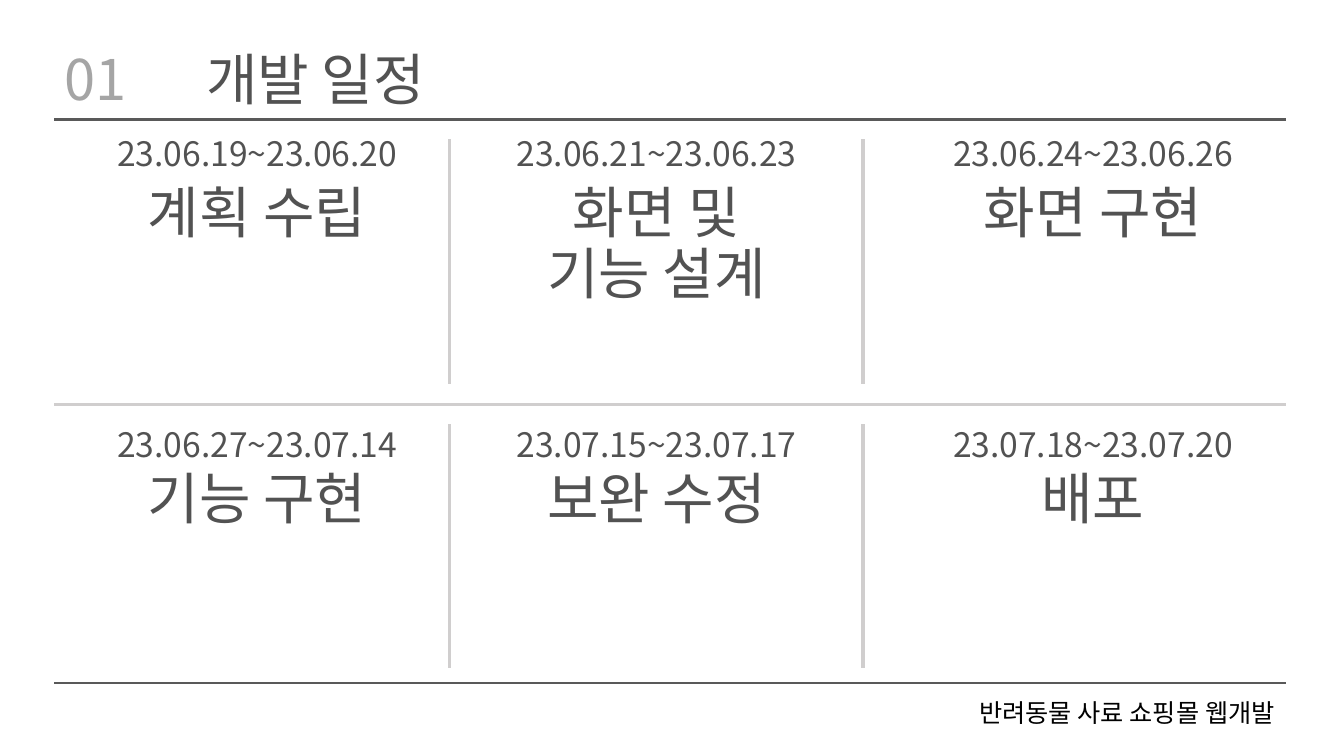
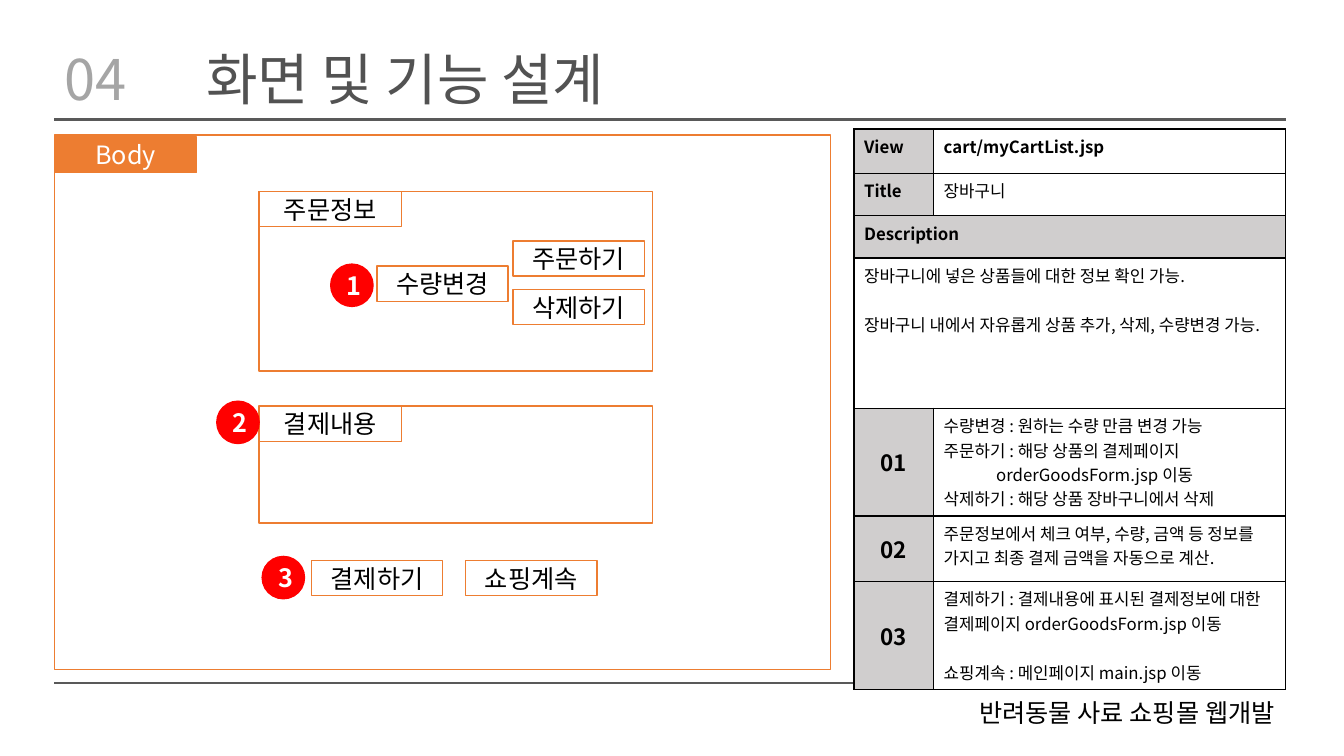
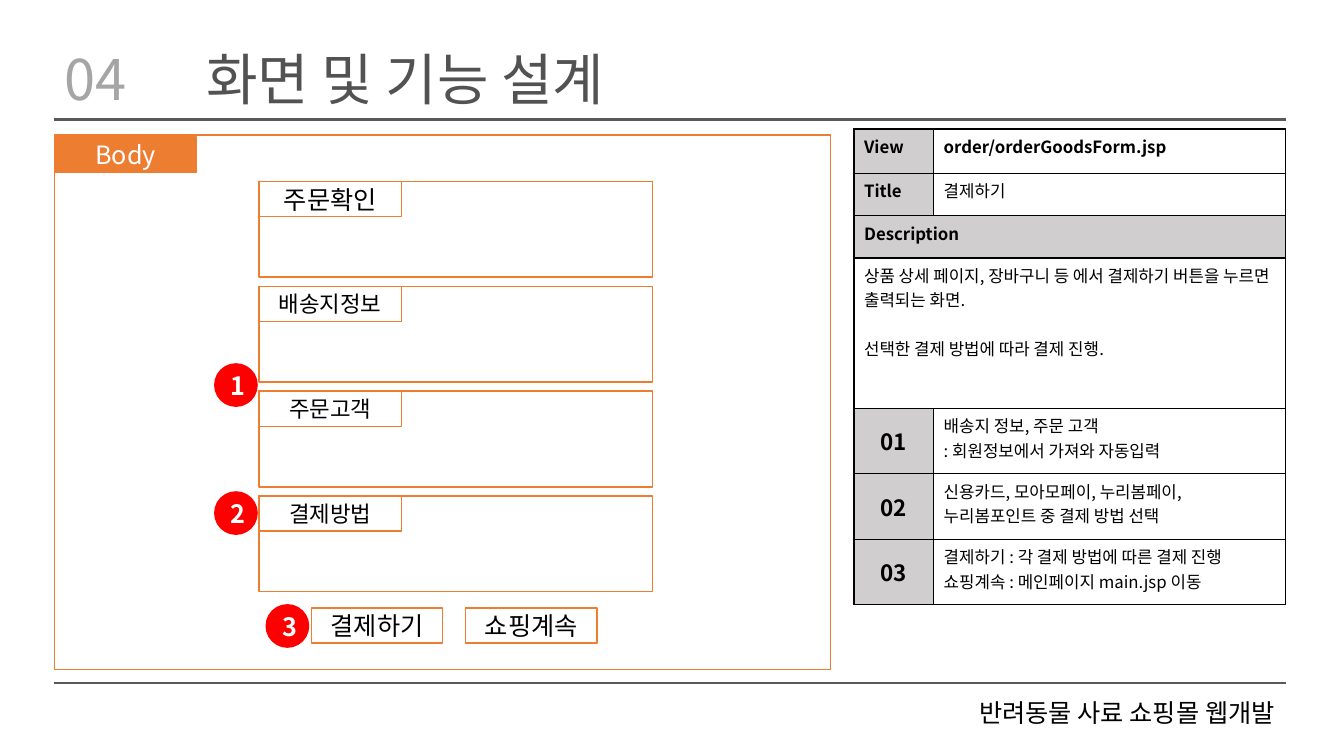
from dataclasses import dataclass

from lxml import etree
from pptx import Presentation
from pptx.dml.color import RGBColor
from pptx.enum.shapes import MSO_CONNECTOR, MSO_SHAPE
from pptx.enum.text import MSO_ANCHOR, PP_ALIGN
from pptx.oxml.ns import qn
from pptx.util import Inches, Pt

STRAIGHT = MSO_CONNECTOR.STRAIGHT
RECTANGLE = MSO_SHAPE.RECTANGLE
OVAL = MSO_SHAPE.OVAL
TOP, MIDDLE = MSO_ANCHOR.TOP, MSO_ANCHOR.MIDDLE
LEFT, CENTER, RIGHT = PP_ALIGN.LEFT, PP_ALIGN.CENTER, PP_ALIGN.RIGHT


@dataclass(frozen=True)
class Theme:
    font: str = "Noto Sans CJK KR"
    white: str = "FFFFFF"
    black: str = "000000"
    rule: str = "595959"
    heading: str = "525252"
    number: str = "A5A5A5"
    light: str = "D0CECE"
    accent: str = "ED7D31"
    badge: str = "FF0000"
    title_size: int = 40
    date_size: int = 24
    body_size: int = 18
    small_size: int = 16
    table_size: int = 12
    table_gap: float = 17.4
    thick: float = 2.25
    medium: float = 1.5
    thin: float = 1


@dataclass(frozen=True)
class Line:
    text: str
    gap: float = 0
    indent: float = 0


THEME = Theme()
MARGIN, EDGE = 0.54, 12.75
FOOTER = "반려동물 사료 쇼핑몰 웹개발"
TITLE_FORMAT = {"line_spacing": 0.9, "space_before": Pt(10)}
FOOTER_FORMAT = {"line_spacing": 0.8, "space_before": Pt(10)}
PANEL_LEFT, PANEL_WIDTH = 2.57, 3.9
TAG_WIDTH, TAG_HEIGHT = 1.41, 0.35
BUTTON_WIDTH, BADGE_SIZE = 1.3, 0.42
COLUMN_WIDTHS = (0.79, 3.49)
HEADER_HEIGHTS = (0.44, 0.42, 0.42, 1.49)
CART_NOTE_HEIGHTS = (1.07, 0.65, 1.07)
ORDER_NOTE_HEIGHTS = (0.65, 0.65, 0.65)

STAGES = (
    (
        ("23.06.19~23.06.20", "계획 수립"),
        ("23.06.21~23.06.23", "화면 및 기능 설계"),
        ("23.06.24~23.06.26", "화면 구현"),
    ),
    (
        ("23.06.27~23.07.14", "기능 구현"),
        ("23.07.15~23.07.17", "보완 수정"),
        ("23.07.18~23.07.20", "배포"),
    ),
)
STAGE_CENTERS = (2.55, 6.51, 10.84)
STAGE_ROWS = ((1.31, 1.79, 1.38, 3.81), (4.2, 4.63, 4.21, 6.63))
DIVIDERS = (4.46, 8.56)

CART_DESCRIPTION = (
    Line("장바구니에 넣은 상품들에 대한 정보 확인 가능."),
    Line("장바구니 내에서 자유롭게 상품 추가, 삭제, 수량변경 가능.", gap=THEME.table_gap),
)
CART_NOTES = (
    (
        Line("수량변경 : 원하는 수량 만큼 변경 가능"),
        Line("주문하기 : 해당 상품의 결제페이지"),
        Line("orderGoodsForm.jsp 이동", indent=0.52),
        Line("삭제하기 : 해당 상품 장바구니에서 삭제"),
    ),
    (Line("주문정보에서 체크 여부, 수량, 금액 등 정보를 가지고 최종 결제 금액을 자동으로 계산."),),
    (
        Line("결제하기 : 결제내용에 표시된 결제정보에 대한 결제페이지 orderGoodsForm.jsp 이동"),
        Line("쇼핑계속 : 메인페이지 main.jsp 이동", gap=THEME.table_gap),
    ),
)
ORDER_DESCRIPTION = (
    Line("상품 상세 페이지, 장바구니 등 에서 결제하기 버튼을 누르면 출력되는 화면."),
    Line("선택한 결제 방법에 따라 결제 진행.", gap=THEME.table_gap),
)
ORDER_NOTES = (
    (Line("배송지 정보, 주문 고객"), Line(": 회원정보에서 가져와 자동입력")),
    (Line("신용카드, 모아모페이, 누리봄페이, 누리봄포인트 중 결제 방법 선택"),),
    (
        Line("결제하기 : 각 결제 방법에 따른 결제 진행"),
        Line("쇼핑계속 : 메인페이지 main.jsp 이동"),
    ),
)


def color(value):
    return RGBColor.from_string(value)


def apply_format(target, values):
    for name, value in values.items():
        setattr(target, name, value)


def paint(fill, value):
    if value is None:
        fill.background()
    else:
        fill.solid()
        fill.fore_color.rgb = color(value)


def write(paragraph, text, size, text_color, bold=False, **paragraph_format):
    apply_format(paragraph, paragraph_format)
    run = paragraph.add_run()
    run.text = text
    run.font.color.rgb = color(text_color)
    apply_format(run.font, {"size": Pt(size), "bold": bold, "name": THEME.font})
    east_asian = etree.SubElement(run.font._element, qn("a:ea"))
    east_asian.set("typeface", THEME.font)


def add_line(slide, start, end, line_color, width):
    points = [Inches(value) for value in (*start, *end)]
    connector = slide.shapes.add_connector(STRAIGHT, *points)
    connector.line.color.rgb = color(line_color)
    connector.line.width = Pt(width)
    etree.SubElement(connector._element.spPr, qn("a:effectLst"))


def add_text(slide, box, text, size, text_color, alignment=LEFT):
    shape = slide.shapes.add_textbox(*map(Inches, box))
    apply_format(shape.text_frame, {"word_wrap": True, "vertical_anchor": TOP})
    write(shape.text_frame.paragraphs[0], text, size, text_color,
          alignment=alignment, **TITLE_FORMAT)


def add_box(slide, box, fill=None, line=THEME.accent, kind=RECTANGLE):
    shape = slide.shapes.add_shape(kind, *map(Inches, box))
    shape.shadow.inherit = False
    paint(shape.fill, fill)
    paint(shape.line.fill, line)
    if line:
        shape.line.width = Pt(THEME.thin)
    return shape


def add_label(slide, box, text, fill=None, line=THEME.accent, kind=RECTANGLE,
              size=THEME.body_size, text_color=THEME.black, bold=False):
    shape = add_box(slide, box, fill, line, kind)
    apply_format(shape.text_frame, {"word_wrap": True, "vertical_anchor": MIDDLE})
    write(shape.text_frame.paragraphs[0], text, size, text_color, bold, alignment=CENTER)


def add_button(slide, left, top, text):
    add_label(slide, (left, top, BUTTON_WIDTH, TAG_HEIGHT), text)


def add_panel(slide, top, height, text, size=THEME.body_size):
    add_box(slide, (PANEL_LEFT, top, PANEL_WIDTH, height))
    add_label(slide, (PANEL_LEFT, top, TAG_WIDTH, TAG_HEIGHT), text, THEME.white, size=size)


def add_badges(slide, positions):
    for number, (left, top) in enumerate(positions, 1):
        add_label(slide, (left, top, BADGE_SIZE, BADGE_SIZE), str(number), THEME.badge,
                  THEME.badge, OVAL, text_color=THEME.white, bold=True)


def add_checkout_buttons(slide, top):
    for left, text in ((3.09, "결제하기"), (4.62, "쇼핑계속")):
        add_button(slide, left, top, text)


def style_cell(cell, fill):
    properties = cell._tc.get_or_add_tcPr()
    for side in ("lnL", "lnR", "lnT", "lnB"):
        border = etree.SubElement(properties, qn(f"a:{side}"), w=str(Pt(THEME.thin)))
        solid = etree.SubElement(border, qn("a:solidFill"))
        etree.SubElement(solid, qn("a:srgbClr"), val=THEME.black)
    paint(cell.fill, fill)


def fill_cell(cell, lines, size=THEME.table_size, bold=False, alignment=LEFT, anchor=TOP,
              margin_right=0.1):
    apply_format(cell, {"vertical_anchor": anchor, "margin_right": Inches(margin_right)})
    for index, line in enumerate(lines):
        frame = cell.text_frame
        paragraph = frame.add_paragraph() if index else frame.paragraphs[0]
        write(paragraph, line.text, size, THEME.black, bold,
              alignment=alignment, space_before=Pt(line.gap))
        if line.indent:
            paragraph._p.get_or_add_pPr().set("marL", str(Inches(line.indent)))


def add_specification(slide, view, title, description, notes, note_heights):
    row_heights = HEADER_HEIGHTS + note_heights
    box = (8.47, 1.28, sum(COLUMN_WIDTHS), sum(row_heights))
    table = slide.shapes.add_table(len(row_heights), len(COLUMN_WIDTHS),
                                   *map(Inches, box)).table
    apply_format(table, {"first_row": False, "horz_banding": False})
    for column, width in zip(table.columns, COLUMN_WIDTHS):
        column.width = Inches(width)
    for index, (row, height) in enumerate(zip(table.rows, row_heights)):
        row.height = Inches(height)
        label, value = row.cells
        style_cell(label, THEME.white if index == 3 else THEME.light)
        style_cell(value, THEME.light if index == 2 else THEME.white)
        if index in (2, 3):
            label.merge(value)
    for index, text in enumerate(("View", "Title", "Description")):
        fill_cell(table.cell(index, 0), [Line(text)], bold=True)
    fill_cell(table.cell(0, 1), [Line(view)], bold=True)
    fill_cell(table.cell(1, 1), [Line(title)])
    fill_cell(table.cell(3, 0), description, margin_right=0.13)
    for number, lines in enumerate(notes, 1):
        fill_cell(table.cell(number + 3, 0), [Line(f"{number:02}")], THEME.small_size,
                  True, CENTER, MIDDLE)
        fill_cell(table.cell(number + 3, 1), lines, margin_right=0.13)


def add_page(presentation, number, title):
    slide = presentation.slides.add_slide(presentation.slide_layouts[6])
    for y, width in ((1.19, THEME.thick), (6.78, THEME.medium)):
        add_line(slide, (MARGIN, y), (EDGE, y), THEME.rule, width)
    footer = add_box(slide, (7.73, 6.93, 5.01, 0.37), THEME.white, None)
    apply_format(footer.text_frame, {"word_wrap": True, "vertical_anchor": TOP})
    write(footer.text_frame.paragraphs[0], FOOTER, THEME.body_size, THEME.black,
          alignment=RIGHT, **FOOTER_FORMAT)
    add_text(slide, (MARGIN, 0.47, 0.84, 0.66), number, THEME.title_size, THEME.number)
    add_text(slide, (1.95, 0.47, 10.8, 0.66), title, THEME.title_size, THEME.heading)
    return slide


def add_screen_page(presentation, *specification):
    slide = add_page(presentation, "04", "화면 및 기능 설계")
    add_specification(slide, *specification)
    add_box(slide, (MARGIN, 1.34, 7.7, 5.3))
    add_label(slide, (MARGIN, 1.36, TAG_WIDTH, TAG_HEIGHT), "Body", THEME.accent,
              text_color=THEME.white)
    return slide


def build_schedule(presentation):
    slide = add_page(presentation, "01", "개발 일정")
    add_line(slide, (MARGIN, 4.01), (EDGE, 4.01), THEME.light, THEME.thick)
    for stages, (date_top, name_top, line_top, line_bottom) in zip(STAGES, STAGE_ROWS):
        for x in DIVIDERS:
            add_line(slide, (x, line_top), (x, line_bottom), THEME.light, THEME.thick)
        for center, (date, name) in zip(STAGE_CENTERS, stages):
            for text, top, width, height, size in (
                (date, date_top, 2.99, 0.4, THEME.date_size),
                (name, name_top, 2.62, 0.66, THEME.title_size),
            ):
                add_text(slide, (center - width / 2, top, width, height), text, size,
                         THEME.heading, CENTER)


def build_cart(presentation):
    slide = add_screen_page(presentation, "cart/myCartList.jsp", "장바구니",
                            CART_DESCRIPTION, CART_NOTES, CART_NOTE_HEIGHTS)
    add_panel(slide, 1.9, 1.78, "주문정보")
    for left, top, text in ((5.09, 2.39, "주문하기"), (5.09, 2.87, "삭제하기"),
                            (3.74, 2.64, "수량변경")):
        add_button(slide, left, top, text)
    add_panel(slide, 4.03, 1.16, "결제내용")
    add_checkout_buttons(slide, 5.56)
    add_badges(slide, ((3.28, 2.62), (2.15, 3.98), (2.6, 5.52)))


def build_order(presentation):
    slide = add_screen_page(presentation, "order/orderGoodsForm.jsp", "결제하기",
                            ORDER_DESCRIPTION, ORDER_NOTES, ORDER_NOTE_HEIGHTS)
    for index, text in enumerate(("주문확인", "배송지정보", "주문고객", "결제방법")):
        size = THEME.small_size if index else THEME.body_size
        add_panel(slide, 1.8 + 1.04 * index, 0.95, text, size)
    add_checkout_buttons(slide, 6.03)
    add_badges(slide, ((2.13, 3.61), (2.13, 4.88), (2.64, 6)))


def main():
    presentation = Presentation()
    apply_format(presentation, {"slide_width": Inches(13.33), "slide_height": Inches(7.5)})
    build_schedule(presentation)
    build_cart(presentation)
    build_order(presentation)
    presentation.save("out.pptx")


if __name__ == "__main__":
    main()
